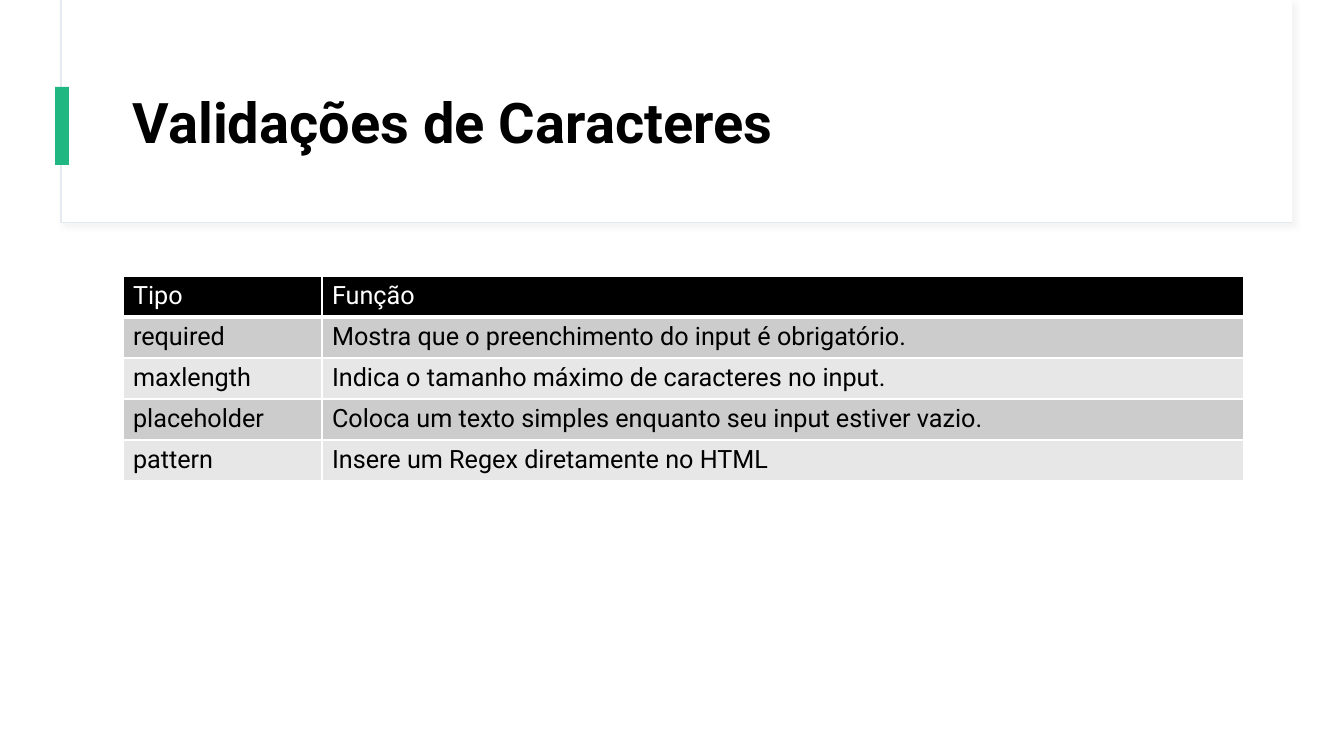
from dataclasses import dataclass

from lxml import etree
from pptx import Presentation
from pptx.dml.color import RGBColor
from pptx.enum.shapes import MSO_SHAPE
from pptx.enum.text import MSO_ANCHOR
from pptx.oxml.ns import qn
from pptx.shapes.autoshape import Shape
from pptx.slide import Slide
from pptx.table import _Cell
from pptx.text.text import _Paragraph
from pptx.util import Emu, Pt

RECT = MSO_SHAPE.RECTANGLE
MIDDLE = MSO_ANCHOR.MIDDLE

FONT = "Roboto"
COLORS = {
    "white": "FFFFFF",
    "black": "000000",
    "outline": "E3E9EF",
    "shadow": "D9D9D9",
    "accent": "21B782",
    "band_dark": "CCCCCC",
    "band_light": "E7E7E7",
}
SLIDE_W, SLIDE_H = 1344, 756
TABLE_LEFT, TABLE_TOP = 123, 276
COL_WIDTHS = (199, 922)
ROW_H = 41
ROWS = (
    ("Tipo", "Função"),
    ("required", "Mostra que o preenchimento do input é obrigatório."),
    ("maxlength", "Indica o tamanho máximo de caracteres no input."),
    ("placeholder", "Coloca um texto simples enquanto seu input estiver vazio."),
    ("pattern", "Insere um Regex diretamente no HTML"),
)


@dataclass(frozen=True)
class Panel:
    left: int
    top: int
    width: int
    height: int
    fill: str
    line: str | None = None
    shadow: bool = False


PANELS = (
    Panel(61, 0, 1231, 223, "white", line="outline", shadow=True),
    Panel(62, 0, 1230, 222, "white"),
    Panel(55, 87, 14, 78, "accent"),
)


def px(n: int) -> Emu:
    """Convert px, at 100.8 to the inch, into EMU."""
    return Emu(round(n * 914400 / 100.8))


def rgb(name: str) -> RGBColor:
    return RGBColor.from_string(COLORS[name])


def add_run(p: _Paragraph, text: str, size: int, color: str, bold: bool = False) -> None:
    r = p.add_run()
    r.text = text
    r.font.name = FONT
    r.font.size = Pt(size)
    r.font.bold = bold
    r.font.color.rgb = rgb(color)


def add_color(parent: etree._Element, name: str) -> etree._Element:
    return etree.SubElement(parent, qn("a:srgbClr"), val=COLORS[name])


def add_shadow(shape: Shape) -> None:
    effects = shape._element.spPr.find(qn("a:effectLst"))
    shadow = etree.SubElement(
        effects, qn("a:outerShdw"), blurRad=str(Pt(4)), dist=str(Pt(3)),
        dir=str(45 * 60000), algn="tl", rotWithShape="0",
    )
    etree.SubElement(add_color(shadow, "shadow"), qn("a:alpha"), val="30000")


def add_panel(s: Slide, panel: Panel) -> None:
    shape = s.shapes.add_shape(
        RECT, px(panel.left), px(panel.top), px(panel.width), px(panel.height))
    shape.shadow.inherit = False
    shape.fill.solid()
    shape.fill.fore_color.rgb = rgb(panel.fill)
    if panel.line:
        shape.line.color.rgb = rgb(panel.line)
        shape.line.width = Pt(0.75)
    else:
        shape.line.fill.background()
    if panel.shadow:
        add_shadow(shape)


def add_title(s: Slide, text: str) -> None:
    tf = s.shapes.add_textbox(px(123), px(60), px(1121), px(130)).text_frame
    tf.word_wrap = True
    tf.vertical_anchor = MIDDLE
    p = tf.paragraphs[0]
    p.line_spacing = 0.9
    add_run(p, text, 40, "black", bold=True)


def set_borders(cell: _Cell, top: int, bottom: int) -> None:
    """Draw white borders, 1 pt at the sides; call before the fill is set."""
    tcPr = cell._tc.get_or_add_tcPr()
    for side, width in (("L", 1), ("R", 1), ("T", top), ("B", bottom)):
        ln = etree.SubElement(tcPr, qn(f"a:ln{side}"), w=str(Pt(width)))
        add_color(etree.SubElement(ln, qn("a:solidFill")), "white")


def add_validation_table(s: Slide) -> None:
    table = s.shapes.add_table(
        len(ROWS), len(COL_WIDTHS), px(TABLE_LEFT), px(TABLE_TOP),
        px(sum(COL_WIDTHS)), px(ROW_H * len(ROWS)),
    ).table
    for column, width in zip(table.columns, COL_WIDTHS):
        column.width = px(width)
    for i, texts in enumerate(ROWS):
        table.rows[i].height = px(ROW_H)
        band = "band_dark" if i % 2 else "band_light"
        fill, color = (band, "black") if i else ("black", "white")
        for j, text in enumerate(texts):
            cell = table.cell(i, j)
            set_borders(cell, top=3 if i == 1 else 1, bottom=1 if i else 3)
            cell.fill.solid()
            cell.fill.fore_color.rgb = rgb(fill)
            add_run(cell.text_frame.paragraphs[0], text, 18, color)


def main() -> None:
    prs = Presentation()
    prs.slide_width, prs.slide_height = px(SLIDE_W), px(SLIDE_H)
    s = prs.slides.add_slide(prs.slide_layouts[6])
    for panel in PANELS:
        add_panel(s, panel)
    add_title(s, "Validações de Caracteres")
    add_validation_table(s)
    prs.save("out.pptx")


if __name__ == "__main__":
    main()
